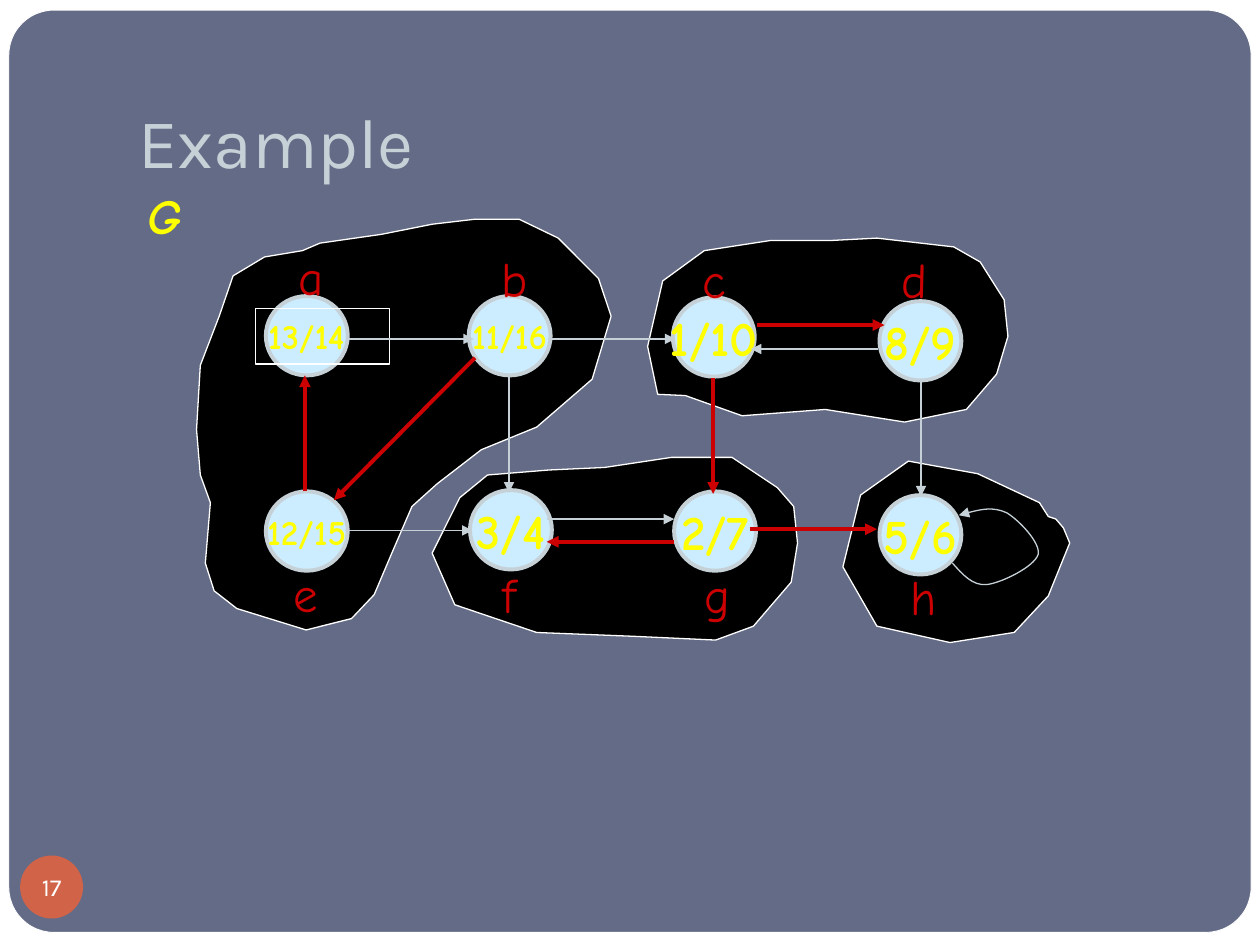
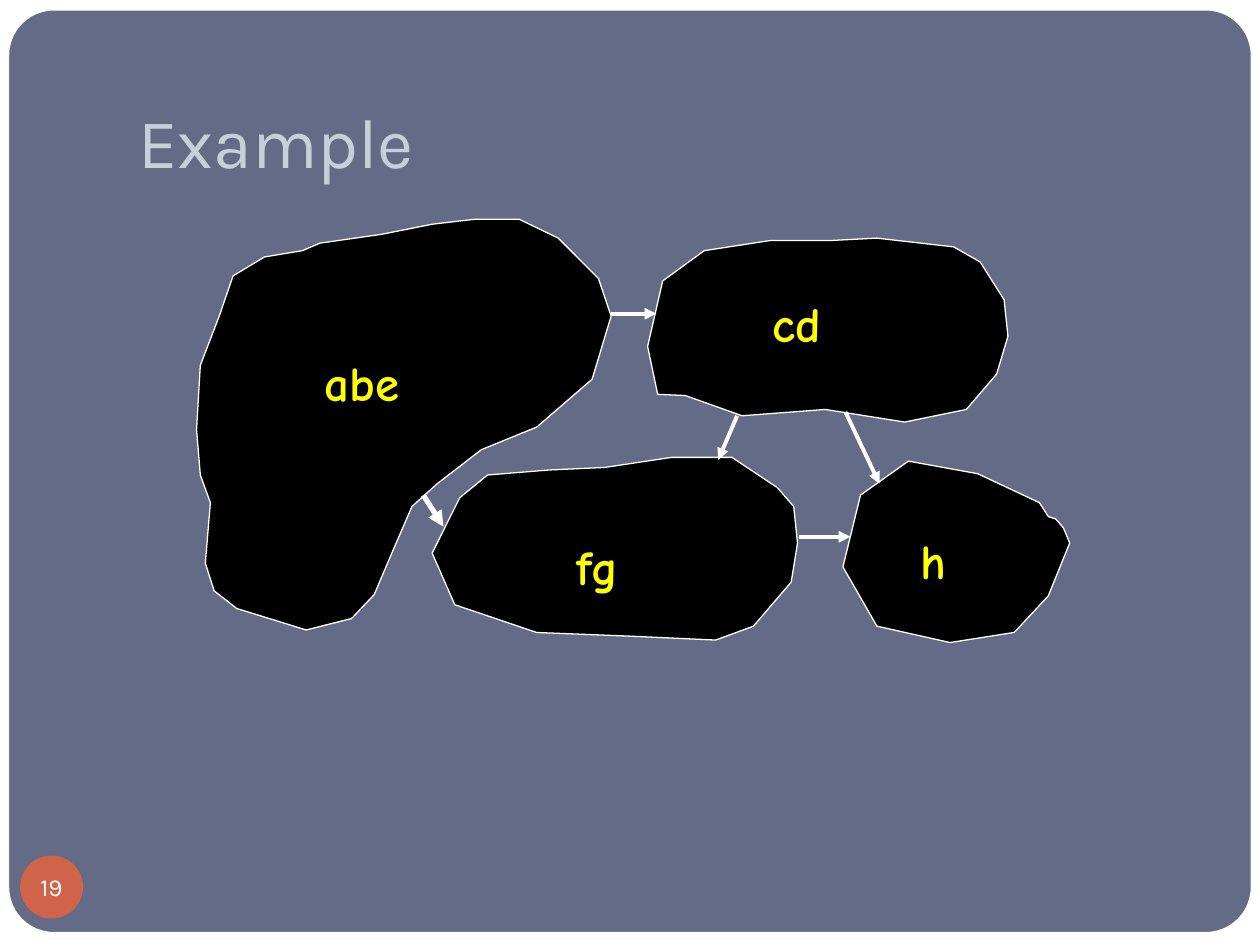
from lxml.etree import SubElement
from pptx import Presentation
from pptx.dml.color import RGBColor
from pptx.enum.shapes import MSO_CONNECTOR, MSO_SHAPE
from pptx.enum.text import MSO_ANCHOR, MSO_AUTO_SIZE, PP_ALIGN
from pptx.oxml.ns import qn
from pptx.util import Inches, Pt

PANEL, WHITE, BLACK = "646B86", "FFFFFF", "000000"
GREY, RED, YELLOW = "C5D1D7", "CC0000", "FFFF00"
NODE_FILL, BADGE_FILL = "CCECFF", "D16349"
HEADING_FONT, GRAPH_FONT = "Karla", "Comic Neue"
NODE_WIDTH, NODE_HEIGHT = 0.65, 0.63

COMPONENTS = {
    "h": [(7.76, 3.76), (7.21, 3.66), (6.83, 3.93), (6.69, 4.5), (6.96, 4.97),
          (7.54, 5.1), (8.05, 5.02), (8.32, 4.73), (8.49, 4.31), (8.44, 4.19),
          (8.38, 4.12), (8.32, 4.1), (8.25, 3.99)],
    "fg": [(4.8, 3.71), (4.36, 3.73), (3.87, 3.77), (3.65, 3.95), (3.43, 4.39),
           (3.61, 4.8), (4.26, 5.02), (5.02, 5.05), (5.68, 5.08), (5.98, 4.97),
           (6.28, 4.62), (6.33, 4.31), (6.3, 4.02), (6.17, 3.87), (5.81, 3.63),
           (5.33, 3.63)],
    "cd": [(6.96, 1.89), (6.58, 1.91), (6.11, 1.91), (5.59, 1.99), (5.26, 2.23),
           (5.14, 2.75), (5.22, 3.13), (5.44, 3.14), (5.89, 3.3), (6.55, 3.25),
           (7.18, 3.35), (7.67, 3.25), (7.91, 2.97), (8, 2.67), (7.97, 2.38),
           (7.78, 2.08), (7.57, 1.96)],
    "abe": [(2.1, 2.04), (1.85, 2.19), (1.74, 2.51), (1.59, 2.9), (1.56, 3.41),
            (1.59, 3.77), (1.67, 3.99), (1.63, 4.47), (1.7, 4.69), (1.88, 4.83),
            (2.43, 5), (2.79, 4.91), (2.97, 4.72), (3.11, 4.39), (3.27, 4.02),
            (3.47, 3.84), (3.82, 3.57), (4.26, 3.39), (4.7, 3.01), (4.85, 2.51),
            (4.75, 2.21), (4.43, 1.89), (4.12, 1.74), (3.77, 1.74), (3.43, 1.78),
            (3.03, 1.86), (2.54, 1.93), (2.4, 1.99)],
}
NODES = [
    ("", 2.11, 2.35, 20), ("11/16", 3.72, 2.35, 20),
    ("1/10", 5.34, 2.36, 28), ("8/9", 6.98, 2.39, 28),
    ("12/15", 2.11, 3.9, 20), ("3/4", 3.73, 3.89, 28),
    ("2/7", 5.35, 3.9, 28), ("5/6", 6.98, 3.93, 28),
]
NODE_NAMES = [
    ("a", 2.27, 1.91, 0.4), ("b", 3.88, 1.92, 0.41),
    ("c", 5.48, 1.93, 0.38), ("d", 7.06, 1.93, 0.4),
    ("e", 2.23, 4.42, 0.39), ("f", 3.89, 4.43, 0.31),
    ("g", 5.49, 4.43, 0.4), ("h", 7.13, 4.45, 0.41),
]
TREE_EDGES = [
    ((2.42, 3.9), (2.42, 2.98)), ((5.66, 3), (5.66, 3.92)),
    ((3.77, 2.84), (2.65, 3.97)), ((5.35, 4.3), (4.34, 4.3)),
    ((5.95, 4.2), (6.96, 4.2)), ((6.01, 2.58), (7.02, 2.58)),
]
OTHER_EDGES = [
    ((2.74, 4.21), (3.75, 4.21)), ((4.04, 2.99), (4.04, 3.91)),
    ((2.75, 2.69), (3.76, 2.69)), ((4.35, 2.69), (5.36, 2.69)),
    ((7.31, 3.02), (7.31, 3.94)), ((4.34, 4.12), (5.35, 4.12)),
    ((6.97, 2.77), (5.96, 2.77)),
]
SELF_LOOP = [
    (7.56, 4.47), (7.64, 4.56), (7.72, 4.65), (7.83, 4.64), (7.94, 4.63),
    (8.21, 4.5), (8.24, 4.4), (8.26, 4.31), (8.09, 4.13), (7.99, 4.07),
    (7.88, 4.02), (7.74, 4.05), (7.61, 4.09),
]
COMPONENT_NAMES = [
    ("cd", 6.03, 2.28, 0.58), ("h", 7.21, 4.16, 0.4),
    ("fg", 4.48, 4.21, 0.54), ("abe", 2.48, 2.75, 0.79),
]
COMPONENT_EDGES = [
    ((4.85, 2.49), (5.21, 2.49), 2.25), ((3.36, 3.93), (3.52, 4.18), 3),
    ((5.85, 3.3), (5.7, 3.65), 2.25), ((6.71, 3.27), (6.98, 3.84), 2.25),
    ((6.34, 4.26), (6.75, 4.26), 2.25),
]


def color(hex_string):
    """Turn a hex string into a colour."""
    return RGBColor.from_string(hex_string)


class GraphDeck:
    """Hold the shared style and the current slide."""

    def __init__(self):
        """Start a presentation with a white page."""
        self.presentation = Presentation()
        self.presentation.slide_width = Inches(10)
        self.presentation.slide_height = Inches(7.5)
        self.layout = self.presentation.slide_layouts.get_by_name("Title Only")
        fill = self.presentation.slide_master.background.fill
        fill.solid()
        fill.fore_color.rgb = color(WHITE)
        self.slide = None

    def new_slide(self, title, number):
        """Add a slide with its title, page badge and component outlines."""
        first = self.slide is None
        self.slide = self.presentation.slides.add_slide(self.layout)
        if first:
            self.add_panel()
        for outline in COMPONENTS.values():
            self.freeform(outline, BLACK, WHITE, 0.75)
        shape = self.slide.shapes.title
        shape.left, shape.top = Inches(1), Inches(0.3)
        shape.width, shape.height = Inches(8.5), Inches(1.25)
        self.set_text(shape, title, 40, GREY, font=HEADING_FONT, anchor=MSO_ANCHOR.BOTTOM)
        shape.text_frame.margin_bottom = Inches(0.1)
        badge = self.shape(MSO_SHAPE.OVAL, 0.16, 6.79, 0.5, 0.5, BADGE_FILL)
        self.set_text(badge, number, 14, WHITE, font=HEADING_FONT,
                      align=PP_ALIGN.CENTER, anchor=MSO_ANCHOR.MIDDLE)

    def add_panel(self):
        """Put the rounded panel on the layout shared by the slides."""
        panel = self.shape(MSO_SHAPE.ROUNDED_RECTANGLE, 0.07, 0.08, 9.86, 7.32,
                           PANEL, WHITE, 0.5)
        panel.adjustments[0] = 0.049
        self.layout.shapes.element.insert(2, panel.element)

    def paint(self, shape, fill, line, width):
        """Set the fill and line of a shape and drop its shadow."""
        shape.shadow.inherit = False
        if fill:
            shape.fill.solid()
            shape.fill.fore_color.rgb = color(fill)
        else:
            shape.fill.background()
        if line:
            shape.line.color.rgb = color(line)
            shape.line.width = Pt(width)
        else:
            shape.line.fill.background()
        return shape

    def shape(self, kind, left, top, width, height, fill=None, line=None, line_width=0.75):
        """Add a preset shape."""
        shape = self.slide.shapes.add_shape(
            kind, Inches(left), Inches(top), Inches(width), Inches(height))
        return self.paint(shape, fill, line, line_width)

    def freeform(self, points, fill, line, width, close=True):
        """Add an outline through the points."""
        corners = [(Inches(x), Inches(y)) for x, y in points]
        builder = self.slide.shapes.build_freeform(*corners[0])
        builder.add_line_segments(corners[1:], close=close)
        return self.paint(builder.convert_to_shape(), fill, line, width)

    def curved_arrow(self, points, line, width):
        """Add an open cubic curve that ends in an arrowhead."""
        shape = self.freeform(points, None, line, width, close=False)
        segments = list(shape.element.iter(qn("a:lnTo")))
        parent = segments[0].getparent()
        for start in range(0, len(segments), 3):
            curve = SubElement(parent, qn("a:cubicBezTo"))
            for segment in segments[start:start + 3]:
                curve.append(segment[0])
                parent.remove(segment)
        self.arrowhead(shape)

    def arrowhead(self, shape):
        """Put a triangle at the end of a line."""
        line = shape.element.spPr.find(qn("a:ln"))
        SubElement(line, qn("a:tailEnd"), type="triangle")

    def arrow(self, begin, end, line, width):
        """Add a straight arrow."""
        connector = self.slide.shapes.add_connector(
            MSO_CONNECTOR.STRAIGHT, *map(Inches, begin + end))
        connector.line.color.rgb = color(line)
        connector.line.width = Pt(width)
        self.arrowhead(connector)
        SubElement(connector.element.spPr, qn("a:effectLst"))

    def set_text(self, shape, text, size, ink, bold=False, italic=False,
                 font=GRAPH_FONT, align=PP_ALIGN.LEFT, anchor=MSO_ANCHOR.TOP):
        """Set the text of a shape and format it."""
        frame = shape.text_frame
        frame.text = text
        frame.auto_size = MSO_AUTO_SIZE.NONE
        frame.word_wrap = False
        frame.vertical_anchor = anchor
        paragraph = frame.paragraphs[0]
        paragraph.alignment = align
        for run in paragraph.runs:
            run.font.name = font
            run.font.size = Pt(size)
            run.font.bold = bold
            run.font.italic = italic
            run.font.color.rgb = color(ink)

    def label(self, text, left, top, width, ink, bold=False, italic=False):
        """Add a one-line text box."""
        box = self.slide.shapes.add_textbox(
            Inches(left), Inches(top), Inches(width), Inches(0.57))
        self.set_text(box, text, 28, ink, bold, italic)

    def node(self, text, left, top, size):
        """Add a graph node with its discovery and finish times."""
        circle = self.shape(MSO_SHAPE.OVAL, left, top, NODE_WIDTH, NODE_HEIGHT,
                            NODE_FILL, GREY, 2.25)
        if text:
            self.set_text(circle, text, size, YELLOW, bold=True,
                          align=PP_ALIGN.CENTER, anchor=MSO_ANCHOR.MIDDLE)


def build_search_slide(deck):
    """Draw the graph with its depth-first search times."""
    deck.new_slide("Example", "17")
    for node in NODES:
        deck.node(*node)
    times = deck.shape(MSO_SHAPE.RECTANGLE, 2.03, 2.45, 1.06, 0.44, None, WHITE)
    deck.set_text(times, "13/14", 20, YELLOW, bold=True)
    for begin, end in OTHER_EDGES:
        deck.arrow(begin, end, GREY, 1)
    for begin, end in TREE_EDGES:
        deck.arrow(begin, end, RED, 2.25)
    deck.curved_arrow(SELF_LOOP, GREY, 0.75)
    for name in NODE_NAMES:
        deck.label(*name, RED)
    deck.label("G", 1.07, 1.42, 0.47, YELLOW, bold=True, italic=True)


def build_component_slide(deck):
    """Draw the graph of strongly connected components."""
    deck.new_slide("Example", "19")
    for name in COMPONENT_NAMES:
        deck.label(*name, YELLOW, bold=True)
    for begin, end, width in COMPONENT_EDGES:
        deck.arrow(begin, end, WHITE, width)


def main():
    """Build both slides and save them."""
    deck = GraphDeck()
    build_search_slide(deck)
    build_component_slide(deck)
    deck.presentation.save("out.pptx")


if __name__ == "__main__":
    main()
